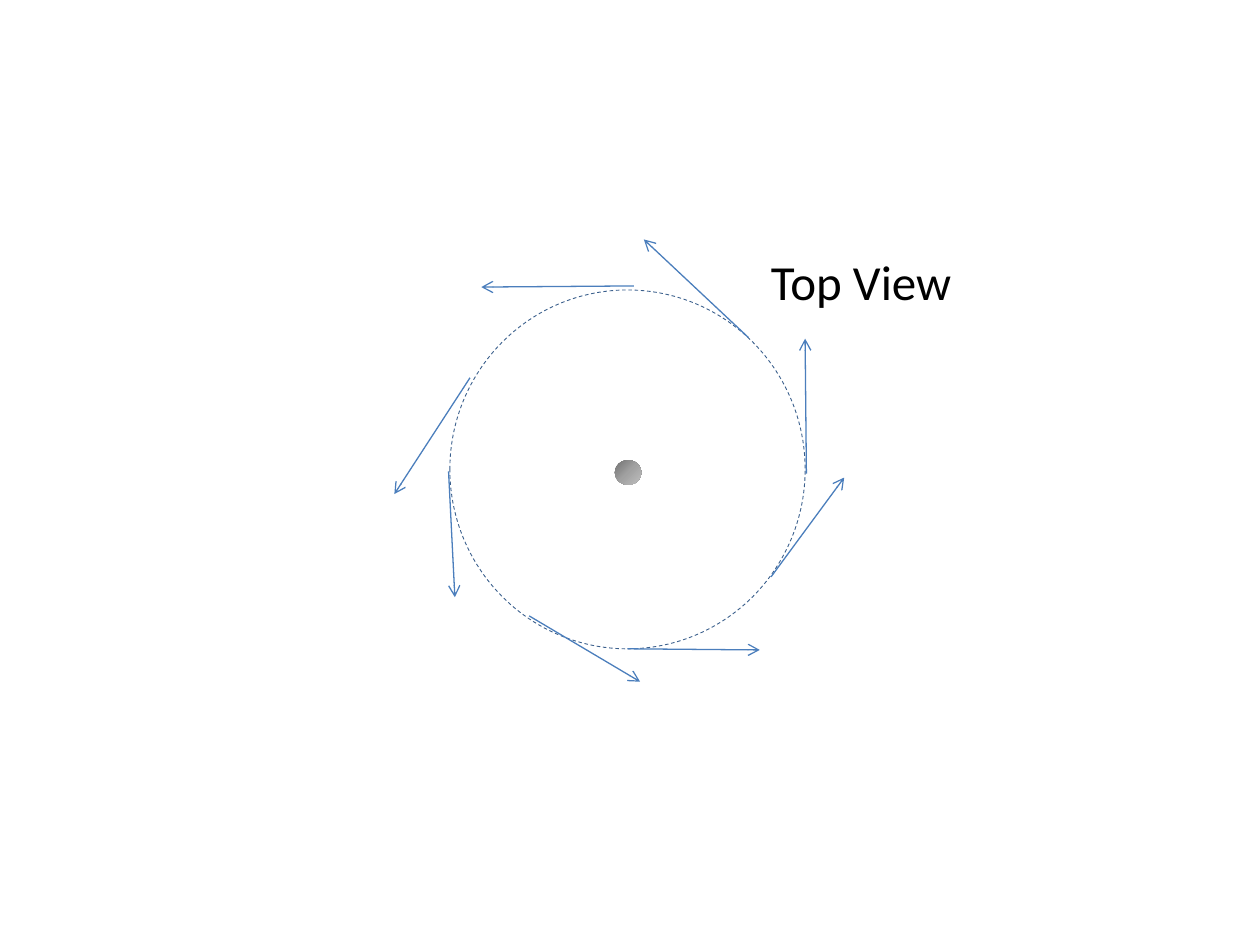
import copy

import pptx
import pptx.dml.color
import pptx.enum.dml
import pptx.enum.shapes
import pptx.enum.text
import pptx.oxml
import pptx.oxml.ns
import pptx.util

COLORS = {"ring": "3A5F8C", "arrow": "4B7EBC", "text": "000000",
          "ball": ("717171", "A1A1A1", "BFBFBF")}

# Boxes as percent of the slide: left, top, width, height
DIAGRAM_BOX = (30, 20, 40, 60)
LABEL_BOX = (60.2, 26, 16.5, 7.6)

# Parts as percent of the diagram box
BALL = (47, 47.8, 5.25, 4.4)
RING = (14.25, 17.8, 70.5, 63.3)
# Velocity arrows, counterclockwise from the bottom: start x, y, end x, y
ARROWS = (
    (49.5, 81.1, 75.75, 81.3),
    (78, 68.4, 92.5, 50.9),
    (85, 50.2, 84.75, 26.4),
    (73.5, 26.2, 52.75, 8.9),
    (50.75, 17.1, 20.5, 17.3),
    (18.25, 33.3, 3.25, 53.8),
    (14, 49.8, 15.25, 72),
    (30, 75.3, 52, 86.9),
)


def rgb(value):
    return pptx.dml.color.RGBColor.from_string(value)


def point_in(box, x, y):
    left, top, width, height = box
    return int(left + width * x / 100), int(top + height * y / 100)


def box_in(box, shares):
    x, y, width, height = shares
    return (*point_in(box, x, y), int(box[2] * width / 100), int(box[3] * height / 100))


def add_ellipse(slide, box):
    shape = slide.shapes.add_shape(pptx.enum.shapes.MSO_SHAPE.OVAL, *box)
    shape.shadow.inherit = False
    return shape


def add_ball(slide, box):
    ball = add_ellipse(slide, box)
    ball.line.fill.background()
    ball.fill.gradient()
    ball.fill.gradient_angle = 315
    # A third stop in the middle of the gradient
    first = ball._element.spPr.find(".//" + pptx.oxml.ns.qn("a:gs"))
    first.addnext(copy.deepcopy(first))
    for stop, color, position in zip(ball.fill.gradient_stops, COLORS["ball"], (0, 0.5, 1)):
        stop.color.rgb = rgb(color)
        stop.position = position


def add_ring(slide, box):
    ring = add_ellipse(slide, box)
    ring.fill.background()
    ring.line.color.rgb = rgb(COLORS["ring"])
    ring.line.width = pptx.util.Pt(0.5)
    ring.line.dash_style = pptx.enum.dml.MSO_LINE.DASH


def add_arrow(slide, start, end):
    arrow = slide.shapes.add_connector(
        pptx.enum.shapes.MSO_CONNECTOR.STRAIGHT, *start, *end)
    arrow.line.color.rgb = rgb(COLORS["arrow"])
    arrow.line.width = pptx.util.Pt(0.75)
    properties = arrow._element.spPr
    head = pptx.oxml.parse_xml(
        f'<a:tailEnd {pptx.oxml.ns.nsdecls("a")} type="arrow"/>')
    properties.find(pptx.oxml.ns.qn("a:ln")).append(head)
    properties.append(pptx.oxml.parse_xml(
        f'<a:effectLst {pptx.oxml.ns.nsdecls("a")}/>'))


def add_text(slide, box, text, *, size, color, font="Calibri"):
    text_frame = slide.shapes.add_textbox(*box).text_frame
    text_frame.word_wrap = False
    text_frame.auto_size = pptx.enum.text.MSO_AUTO_SIZE.SHAPE_TO_FIT_TEXT
    run = text_frame.paragraphs[0].add_run()
    run.text = text
    run.font.name = font
    run.font.size = pptx.util.Pt(size)
    run.font.color.rgb = rgb(color)


def add_orbit_diagram(slide, box):
    add_ball(slide, box_in(box, BALL))
    add_ring(slide, box_in(box, RING))
    for start_x, start_y, end_x, end_y in ARROWS:
        add_arrow(slide, point_in(box, start_x, start_y), point_in(box, end_x, end_y))


def main():
    presentation = pptx.Presentation()
    presentation.slide_width = pptx.util.Inches(10)
    presentation.slide_height = pptx.util.Inches(7.5)
    slide = presentation.slides.add_slide(presentation.slide_layouts[6])
    page = (0, 0, presentation.slide_width, presentation.slide_height)

    add_orbit_diagram(slide, box_in(page, DIAGRAM_BOX))
    add_text(slide, box_in(page, LABEL_BOX), "Top View", size=28, color=COLORS["text"])
    presentation.save("out.pptx")


if __name__ == "__main__":
    main()
